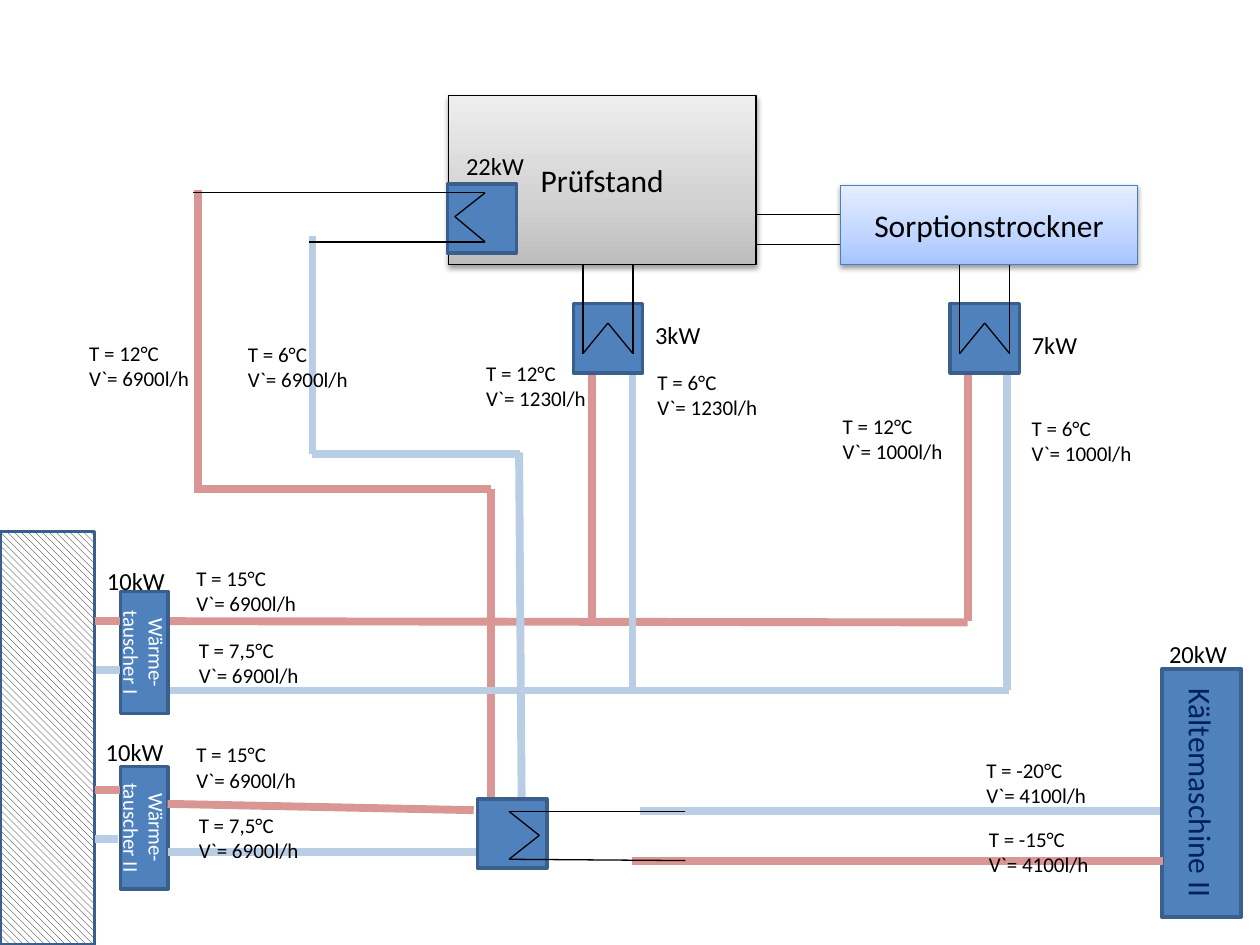
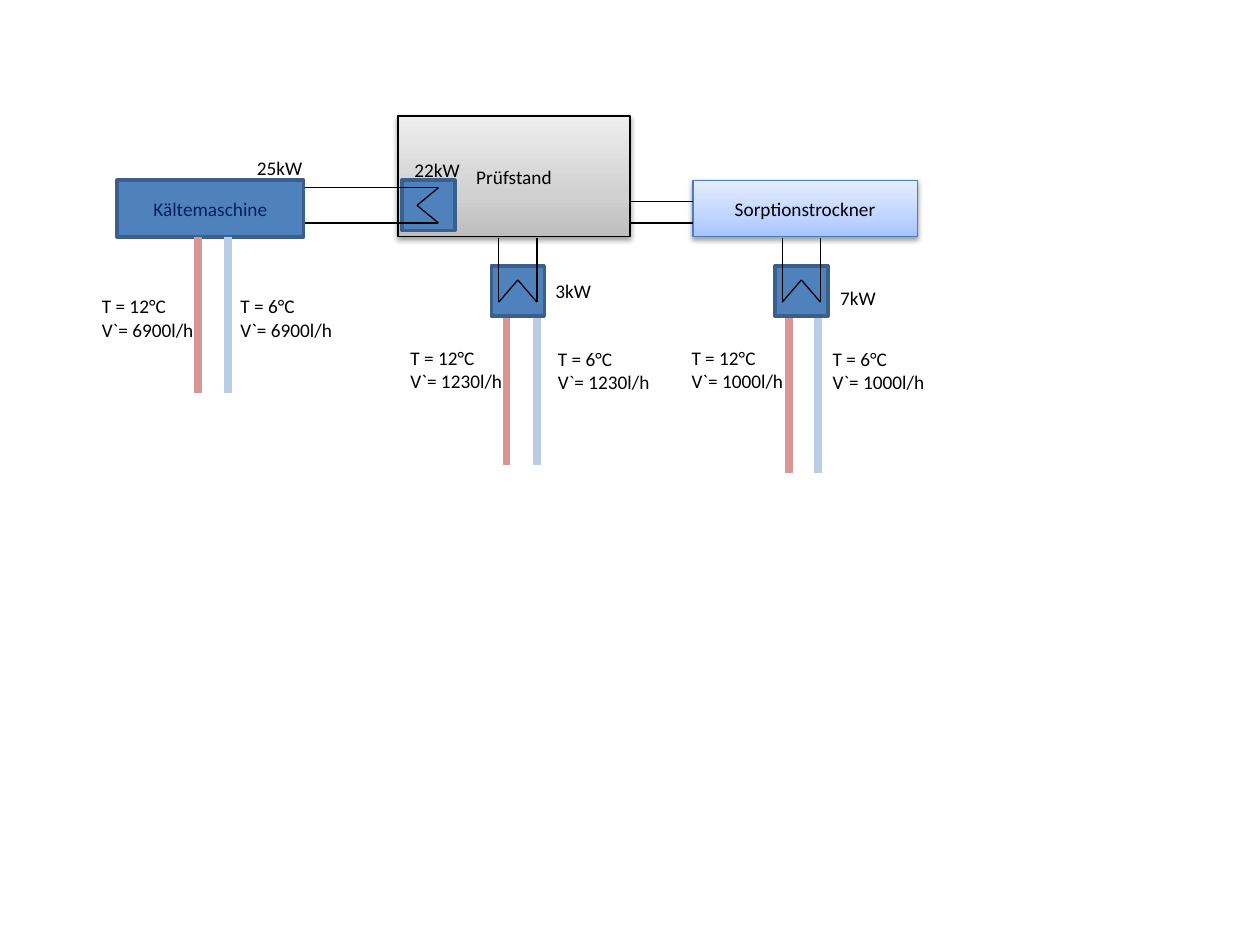
"""Cooling water schematic of a test bench: full network and standalone layout."""
import pptx
import pptx.util
import pptx.dml.color
import pptx.enum.dml
import pptx.enum.shapes
import pptx.enum.text
import pptx.oxml.ns
from lxml import etree

Inches, Pt = pptx.util.Inches, pptx.util.Pt
RGBColor = pptx.dml.color.RGBColor
qn = pptx.oxml.ns.qn
ALIGN, ANCHOR = pptx.enum.text.PP_ALIGN, pptx.enum.text.MSO_ANCHOR
AUTO_SIZE = pptx.enum.text.MSO_AUTO_SIZE

BLACK = RGBColor(0x00, 0x00, 0x00)
WHITE = RGBColor(0xFF, 0xFF, 0xFF)
NAVY = RGBColor(0x00, 0x20, 0x60)
BLUE = RGBColor(0x4F, 0x81, 0xBD)
BLUE_EDGE = RGBColor(0x3A, 0x5F, 0x8C)
DRYER_EDGE = RGBColor(0x4B, 0x7E, 0xBC)
WARM = RGBColor(0xD9, 0x96, 0x94)
COLD = RGBColor(0xB9, 0xCD, 0xE5)
GREY_STOPS = [(0, RGBColor(0xBD, 0xBD, 0xBD)), (35, RGBColor(0xD1, 0xD1, 0xD1)),
              (100, RGBColor(0xEE, 0xEE, 0xEE))]
DRYER_STOPS = [(0, RGBColor(0xA4, 0xC4, 0xFF)), (35, RGBColor(0xBF, 0xD4, 0xFF)),
               (100, RGBColor(0xE6, 0xEE, 0xFF))]

LOOKS = {
    "machine": {"fill": BLUE, "edge": BLUE_EDGE, "width": 2, "ink": NAVY},
    "exchanger": {"fill": BLUE, "edge": BLUE_EDGE, "width": 2, "ink": WHITE},
    "wall": {"fill": None, "edge": BLUE_EDGE, "width": 2, "ink": BLACK},
    "bench": {"fill": GREY_STOPS, "edge": BLACK, "width": 0.75, "ink": BLACK},
    "dryer": {"fill": DRYER_STOPS, "edge": DRYER_EDGE, "width": 0.75, "ink": BLACK},
}
LABEL_FRAME = {"word_wrap": True, "auto_size": AUTO_SIZE.SHAPE_TO_FIT_TEXT,
               "vertical_anchor": ANCHOR.TOP}
BLOCK_FRAME = {"word_wrap": True, "auto_size": AUTO_SIZE.NONE,
               "vertical_anchor": ANCHOR.MIDDLE}


def add_box(slide, at, text, size, kind=None, rotation=0):
    place = [Inches(length) for length in at]
    ink, frame_format, align = BLACK, LABEL_FRAME, ALIGN.LEFT
    if kind is None:
        box = slide.shapes.add_textbox(*place)
    else:
        look = LOOKS[kind]
        ink, frame_format, align = look["ink"], BLOCK_FRAME, ALIGN.CENTER
        box = slide.shapes.add_shape(pptx.enum.shapes.MSO_SHAPE.RECTANGLE, *place)
        box.rotation = rotation
        box.line.color.rgb = look["edge"]
        box.line.width = Pt(look["width"])
        box.shadow.inherit = False
        if kind == "wall":
            box.fill.patterned()
            box.fill.pattern = pptx.enum.dml.MSO_PATTERN.WIDE_DOWNWARD_DIAGONAL
            box.fill.fore_color.rgb = BLACK
            box.fill.back_color.rgb = WHITE
        elif isinstance(look["fill"], list):
            box.fill.gradient()
            box.fill.gradient_angle = 90
            properties = box.element.spPr
            stops = properties.find(".//" + qn("a:gsLst"))
            for stop in list(stops):
                stops.remove(stop)
            for position, color in look["fill"]:
                stop = etree.SubElement(stops, qn("a:gs"), pos=str(position * 1000))
                etree.SubElement(stop, qn("a:srgbClr"), val=str(color))
            shadow = etree.SubElement(properties.find(qn("a:effectLst")), qn("a:outerShdw"),
                                      blurRad="40000", dist="20000", dir="5400000", rotWithShape="0")
            tone = etree.SubElement(shadow, qn("a:srgbClr"), val=str(BLACK))
            etree.SubElement(tone, qn("a:alpha"), val="38000")
        else:
            box.fill.solid()
            box.fill.fore_color.rgb = look["fill"]
    for name, value in frame_format.items():
        setattr(box.text_frame, name, value)
    box.text_frame.text = text
    for paragraph in box.text_frame.paragraphs:
        paragraph.alignment = align
        for name, value in {"name": "Calibri", "size": Pt(size)}.items():
            setattr(paragraph.font, name, value)
        paragraph.font.color.rgb = ink


def add_pipe(slide, points, color, width):
    for start, end in zip(points, points[1:]):
        pipe = slide.shapes.add_connector(pptx.enum.shapes.MSO_CONNECTOR.STRAIGHT,
                                          *[Inches(length) for length in (*start, *end)])
        pipe.line.color.rgb = color
        pipe.line.width = Pt(width)
        etree.SubElement(pipe.element.spPr, qn("a:effectLst"))


network = {
    "blocks": [
        ("machine", (8.55, 5.98, 1.97, 0.63), "Kältemaschine II", 18, 90),
        ("wall", (0, 4.22, 0.75, 3.28), "", 12, 0),
        ("exchanger", (0.66, 6.38, 0.97, 0.38), "Wärme-tauscher II", 12, 90),
        ("exchanger", (0.66, 4.99, 0.97, 0.38), "Wärme-tauscher I", 12, 90),
        ("bench", (3.56, 0.76, 2.44, 1.34), "Prüfstand", 18, 0),
        ("dryer", (6.67, 1.47, 2.36, 0.63), "Sorptionstrockner", 18, 0),
    ],
    "warm": [
        [(5.02, 6.83), (9.23, 6.83)],
        [(0.95, 4.93), (0.75, 4.93)],
        [(0.95, 6.27), (0.75, 6.27)],
        [(7.68, 4.94), (1.35, 4.93)],
        [(3.76, 6.43), (1.33, 6.38)],
        [(4.7, 2.88), (4.7, 4.94)],
        [(7.68, 2.96), (7.68, 4.93)],
        [(1.57, 1.51), (1.57, 3.91)],
        [(1.57, 3.88), (3.9, 3.88), (3.9, 6.33)],
    ],
    "cold": [
        [(9.21, 6.44), (5.08, 6.44)],
        [(0.95, 5.32), (0.76, 5.32)],
        [(0.94, 6.66), (0.75, 6.66)],
        [(8.01, 5.48), (1.35, 5.48)],
        [(3.79, 6.76), (1.33, 6.76)],
        [(5.02, 2.88), (5.02, 5.48)],
        [(7.99, 2.96), (7.99, 5.48)],
        [(2.48, 1.87), (2.48, 3.6), (4.13, 3.6)],
        [(4.12, 3.59), (4.14, 6.33)],
    ],
    "ducts": [[(6, y), (6.67, y)] for y in (1.7, 1.94)],
    "side_coils": [
        ((3.55, 1.46, 0.55, 0.55),
         [(1.53, 1.53), (3.85, 1.53), (3.61, 1.72), (3.85, 1.92), (2.45, 1.92)]),
        ((3.79, 6.34, 0.55, 0.55),
         [(5.44, 6.44), (4.04, 6.44), (4.28, 6.63), (4.04, 6.82), (5.44, 6.83)]),
    ],
    "upright_coils": [(4.55, 2.41, 0.55, 0.55), (7.54, 2.41, 0.55, 0.55)],
    "power_format": (0.75, 0.34, 14),
    "powers": [(9.18, 5.02, 20), (0.75, 4.44, 10), (0.74, 5.8, 10),
               (5.1, 2.49, 3), (8.09, 2.57, 7), (3.6, 1.15, 22)],
    "reading_format": (1.16, 0.5, 12),
    "readings": [
        (7.73, 5.96, "-20", 4100), (7.75, 6.51, "-15", 4100),
        (1.46, 4.44, "15", 6900), (1.46, 5.84, "15", 6900),
        (1.48, 5.01, "7,5", 6900), (1.48, 6.4, "7,5", 6900),
        (3.76, 2.81, "12", 1230), (5.12, 2.88, "6", 1230),
        (0.61, 2.65, "12", 6900), (1.87, 2.66, "6", 6900),
        (6.59, 3.23, "12", 1000), (8.09, 3.25, "6", 1000),
    ],
}

standalone = {
    "blocks": [
        ("bench", (3.16, 0.92, 1.84, 0.96), "Prüfstand", 11, 0),
        ("machine", (0.93, 1.43, 1.48, 0.45), "Kältemaschine", 11, 0),
        ("dryer", (5.5, 1.43, 1.78, 0.45), "Sorptionstrockner", 11, 0),
    ],
    "warm": [[(x, y), (x, y + 1.24)] for x, y in ((1.57, 1.88), (4.02, 2.45), (6.26, 2.51))],
    "cold": [[(x, y), (x, y + 1.24)] for x, y in ((1.81, 1.88), (4.26, 2.45), (6.49, 2.51))],
    "ducts": [[(5, y), (5.5, y)] for y in (1.6, 1.77)],
    "side_coils": [
        ((3.19, 1.43, 0.42, 0.4),
         [(2.42, 1.49), (3.48, 1.49), (3.31, 1.63), (3.48, 1.77), (2.42, 1.77)]),
    ],
    "upright_coils": [(3.9, 2.11, 0.42, 0.4), (6.15, 2.11, 0.42, 0.4)],
    "power_format": (0.56, 0.29, 11),
    "powers": [(4.31, 2.17, 3), (6.57, 2.22, 7), (3.19, 1.21, 22), (1.94, 1.19, 25)],
    "reading_format": (1, 0.47, 11),
    "readings": [
        (3.16, 2.7, "12", 1230), (4.33, 2.71, "6", 1230),
        (0.71, 2.29, "12", 6900), (1.81, 2.29, "6", 6900),
        (5.39, 2.7, "12", 1000), (6.51, 2.71, "6", 1000),
    ],
}

deck = pptx.Presentation()
deck.slide_width, deck.slide_height = Inches(10), Inches(7.5)

for plan in (network, standalone):
    slide = deck.slides.add_slide(deck.slide_layouts[6])
    for kind, at, text, size, rotation in plan["blocks"]:
        add_box(slide, at, text, size, kind, rotation)
    for group, color, width in (("warm", WARM, 4.5), ("cold", COLD, 4.5), ("ducts", BLACK, 0.75)):
        for points in plan[group]:
            add_pipe(slide, points, color, width)
    coils = list(plan["side_coils"])
    for left, top, width, height in plan["upright_coils"]:
        bends = [(0.14, -0.56), (0.14, 0.72), (0.5, 0.28), (0.86, 0.72), (0.86, -0.56)]
        coils.append(((left, top, width, height),
                      [(left + x * width, top + y * height) for x, y in bends]))
    for at, points in coils:
        add_box(slide, at, "", 12, "exchanger")
        add_pipe(slide, points, BLACK, 0.75)
    width, height, size = plan["power_format"]
    for left, top, power in plan["powers"]:
        add_box(slide, (left, top, width, height), f"{power}kW", size)
    width, height, size = plan["reading_format"]
    for left, top, degrees, flow in plan["readings"]:
        add_box(slide, (left, top, width, height), f"T = {degrees}°C\nV`= {flow}l/h", size)

deck.save("out.pptx")
